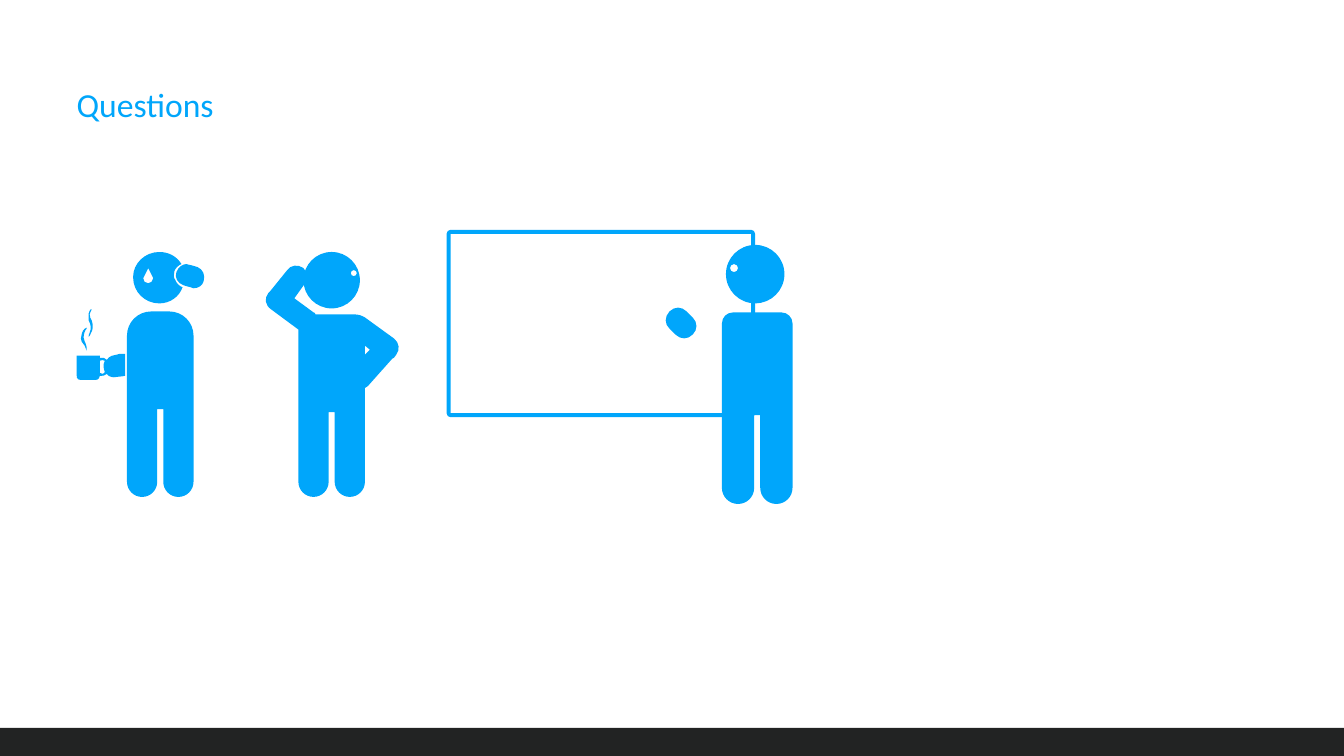
from math import ceil, cos, radians, sin, tan

from lxml.etree import SubElement
from pptx import Presentation
from pptx.dml.color import RGBColor
from pptx.enum.shapes import MSO_SHAPE as Shape
from pptx.enum.text import MSO_ANCHOR as Anchor
from pptx.oxml.ns import qn
from pptx.util import Pt

PX = 9144  # EMU per px, 100 px to the inch
BLUE, DARK = "00A6FB", "222323"
LEG_GAP = 6


def color(value):
    return RGBColor.from_string(value)


# Contours in px: a start pair, then pairs for lines and sextets for cubic curves

def arc(x, y, radius, start, end):
    count = ceil((end - start) / 90)
    step = radians((end - start) / count)
    pull = 4 / 3 * tan(step / 4)
    a = radians(start)
    segments = [(x + radius * cos(a), y + radius * sin(a))]
    for _ in range(count):
        b = a + step
        segments.append((x + radius * (cos(a) - pull * sin(a)),
                         y + radius * (sin(a) + pull * cos(a)),
                         x + radius * (cos(b) + pull * sin(b)),
                         y + radius * (sin(b) - pull * cos(b)),
                         x + radius * cos(b), y + radius * sin(b)))
        a = b
    return segments


def circle(x, y, radius):
    return arc(x, y, radius, 0, 360)


def legs(left, right, hip, bottom):
    width = (right - left - LEG_GAP) / 2
    radius = width / 2
    foot = bottom - radius
    return [(right, hip), *arc(right - radius, foot, radius, 0, 180),
            (right - width, hip), (left + width, hip),
            *arc(left + radius, foot, radius, 0, 180), (left, hip)]


def shoulders(left, right, top, radius):
    return (arc(left + radius, top + radius, radius, 180, 270)
            + arc(right - radius, top + radius, radius, 270, 360))


def rounded_box(left, top, right, bottom, radius):
    return (shoulders(left, right, top, radius)
            + arc(right - radius, bottom - radius, radius, 0, 90)
            + arc(left + radius, bottom - radius, radius, 90, 180))


class SlideBuilder:
    font = "Calibri"

    def __init__(self, presentation):
        self.slide = presentation.slides.add_slide(presentation.slide_layouts[6])

    def paint(self, shape, fill):
        shape.shadow.inherit = False
        shape.fill.solid()
        shape.fill.fore_color.rgb = color(fill)
        shape.line.fill.background()

    def bar(self, left, top, width, height, fill):
        box = [length * PX for length in (left, top, width, height)]
        self.paint(self.slide.shapes.add_shape(Shape.RECTANGLE, *box), fill)

    def title(self, text, left, top, width, height, size, fill):
        box = [length * PX for length in (left, top, width, height)]
        frame = self.slide.shapes.add_textbox(*box).text_frame
        frame.word_wrap = True
        frame.vertical_anchor = Anchor.MIDDLE
        frame.margin_left = frame.margin_right = 0
        frame.margin_top = frame.margin_bottom = 0
        frame.text = text
        paragraph = frame.paragraphs[0]
        paragraph.line_spacing = 1.2
        font = paragraph.runs[0].font
        font.name, font.size, font.color.rgb = self.font, Pt(size), color(fill)

    def silhouette(self, *contours, fill=BLUE):
        """Fill the contours as one shape; inner contours become holes."""
        anchors = [[(s[-2] * PX, s[-1] * PX) for s in contour] for contour in contours]
        builder = self.slide.shapes.build_freeform(*anchors[0][0])
        builder.add_line_segments(anchors[0][1:])
        for points in anchors[1:]:
            builder.move_to(*points[0])
            builder.add_line_segments(points[1:])
        shape = builder.convert_to_shape()
        self.bend(shape, [s for contour in contours for s in contour[1:]])
        self.paint(shape, fill)

    def bend(self, shape, segments):
        """Turn the lines that stand for sextets into cubic curves."""
        lines = list(shape.element.iter(qn("a:lnTo")))
        for line, segment in zip(lines, segments):
            if len(segment) == 2:
                continue
            curve = line.makeelement(qn("a:cubicBezTo"))
            for x, y in (segment[:2], segment[2:4], segment[4:]):
                SubElement(curve, qn("a:pt"), x=str(round(x * PX) - shape.left),
                           y=str(round(y * PX) - shape.top))
            line.getparent().replace(line, curve)


def draw_coffee_drinker(builder):
    # Body and raised hand
    builder.silhouette(shoulders(126, 192, 309, 24) + legs(126, 192, 406, 493))
    builder.silhouette([
        (196, 265), (193, 264, 189, 263, 189, 263), (187, 263, 186, 262, 185, 262),
        (181, 262, 177, 265, 175, 270), (173, 275, 176, 281, 182, 283),
        (185, 284, 189, 285, 189, 285), (190, 286, 191, 286, 192, 286),
        (197, 286, 201, 283, 202, 279), (204, 273, 201, 267, 196, 265)])
    # Steam
    builder.silhouette([
        (86, 326), (84, 328, 83, 332, 83, 335), (83, 338, 85, 340, 85, 341),
        (86, 343, 86, 345, 86, 348), (85, 347, 85, 344, 84, 343),
        (83, 342, 82, 340, 81, 339), (80, 337, 80, 335, 81, 332),
        (81, 330, 83, 326, 86, 325)])
    builder.silhouette([
        (91, 307), (90, 309, 89, 311, 89, 312), (89, 314, 90, 317, 91, 318),
        (92, 320, 92, 323, 92, 325), (92, 327, 91, 329, 90, 331),
        (89, 332, 89, 335, 88, 334), (87, 334, 89, 331, 89, 330),
        (90, 328, 90, 326, 90, 324), (90, 322, 89, 320, 88, 318),
        (88, 315, 88, 313, 88, 311), (89, 309, 89, 307, 90, 307)])
    # Cup held by its handle
    handle_hole = [
        (103, 366), (103, 367, 104, 368, 104, 369), (104, 370, 103, 370, 102, 371),
        (101, 371, 100, 371, 99, 370), (99, 358), (100, 357, 103, 357, 104, 358),
        (103, 360, 102, 363, 103, 366)]
    cup = [
        (124, 351), (122, 351, 120, 351, 119, 351), (116, 352, 111, 353, 111, 353),
        (109, 354, 107, 355, 106, 357), (105, 355, 102, 355, 99, 355), (99, 353),
        (76, 353), (76, 372), (76, 377, 78, 377, 83, 377), (92, 377),
        (97, 377, 98, 377, 99, 373), (102, 373, 104, 373, 106, 371),
        (108, 374, 112, 375, 116, 374), (119, 374, 123, 373, 124, 373)]
    builder.silhouette(cup, handle_hole)
    # Head, cut away around the hand, with a drop of sweat
    hand_edge = [
        (181, 285), (178, 284, 175, 281, 174, 278), (172, 276, 172, 272, 173, 269),
        (174, 266, 177, 263, 180, 262)]
    drop = [
        (151, 274), (147, 266), (143, 274), (143, 275, 142, 275, 142, 276),
        (142, 279, 144, 281, 147, 281), (149, 281, 152, 279, 152, 276),
        (152, 275, 151, 275, 151, 274)]
    head = [hand_edge[-1], (175, 254, 167, 250, 158, 250),
            *arc(158, 276, 26, -90, -270)[:1],
            (144, 250, 132, 261, 132, 275), (132, 290, 144, 301, 158, 301),
            (169, 301, 178, 294, 181, 285)]
    builder.silhouette(hand_edge + head[1:2] + head[3:], drop)


def draw_head_scratcher(builder):
    # Body with one arm raised and one hand on the hip
    raised_arm = [
        (296, 327), (269, 307), (263, 303, 262, 296, 266, 291),
        (267, 290, 268, 289, 268, 289), (285, 268), (288, 263, 296, 262, 301, 266),
        (305, 270, 306, 277, 302, 282), (292, 296), (311, 310),
        (312, 310, 313, 311, 313, 312)]
    bent_arm = [
        (352, 312), (355, 312, 359, 313, 362, 315), (391, 336),
        (396, 340, 397, 347, 393, 352), (392, 354, 390, 356, 389, 356),
        (365, 383), (364, 384, 363, 384, 362, 385)]
    elbow_gap = [(362, 352), (362, 343), (367, 347)]
    builder.silhouette(raised_arm + bent_arm + legs(296, 362, 409, 493), elbow_gap)
    # Head with eye
    builder.silhouette(circle(329, 278, 28), circle(351, 271, 3))


def draw_presenter(builder):
    # Whiteboard frame
    builder.silhouette(rounded_box(443, 228, 749, 414, 4),
                       [(447, 232), (745, 232), (745, 410), (447, 410)])
    # Head, eye, body and pointing hand
    hand = [
        (687, 332), (682, 337, 675, 337, 670, 332), (664, 326),
        (659, 322, 659, 314, 664, 309), (669, 304, 676, 304, 681, 309),
        (687, 315), (692, 320, 692, 327, 687, 332)]
    body = shoulders(716, 786, 310, 11) + legs(716, 786, 412, 500)
    builder.silhouette(circle(749, 272, 29), circle(728, 266, 4), body, hand)


def main():
    presentation = Presentation()
    presentation.slide_width, presentation.slide_height = 1333 * PX, 750 * PX
    builder = SlideBuilder(presentation)
    builder.bar(0, 722, 1333, 28, DARK)
    builder.title("Questions", 76, 63, 1178, 73, 24, BLUE)
    draw_coffee_drinker(builder)
    draw_head_scratcher(builder)
    draw_presenter(builder)
    presentation.save("out.pptx")


if __name__ == "__main__":
    main()
